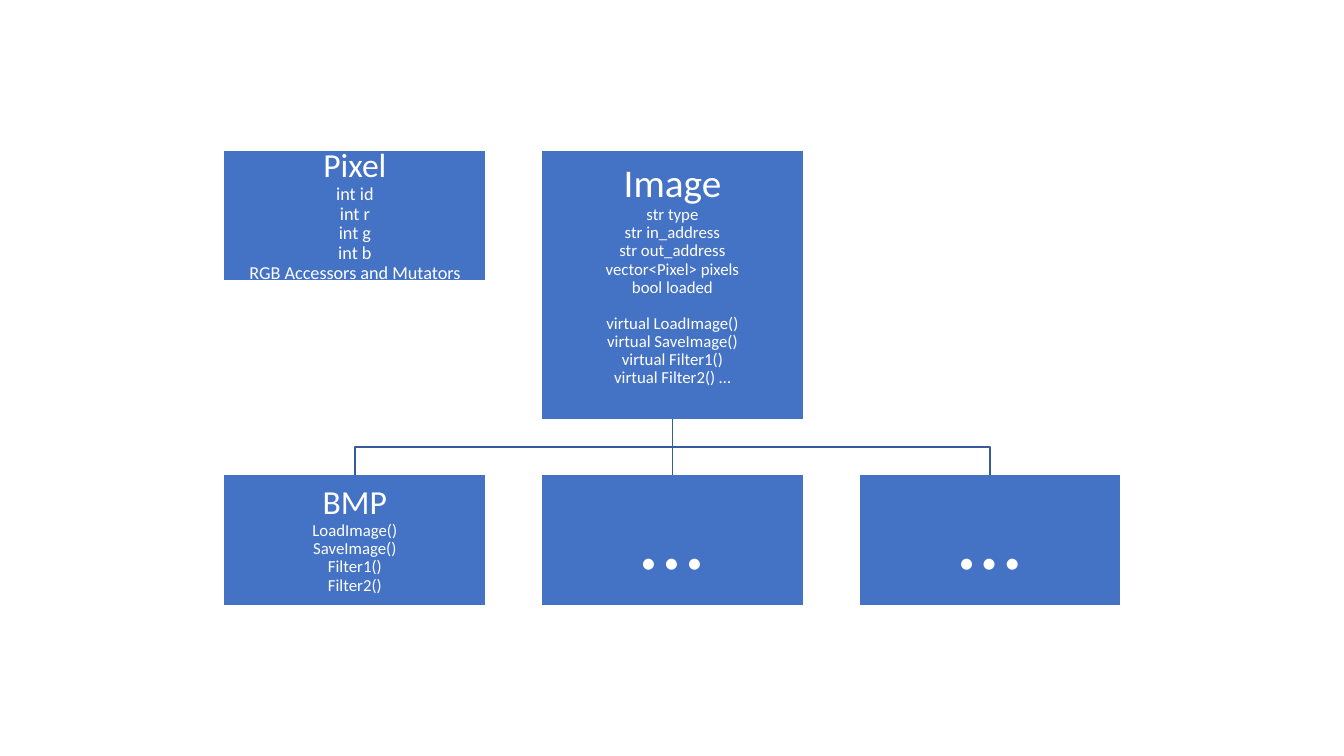
from lxml import etree
from pptx import Presentation
from pptx import util as u
from pptx.dml.color import RGBColor
from pptx.enum import shapes, text
from pptx.oxml.ns import qn

COLORS = {"box": "4472C4", "edge": "FFFFFF", "text": "FFFFFF", "branch": "365B9D"}
FONT = "Calibri"
COLUMNS = [2.22 + 3.15 * column for column in range(3)]
BOX_WIDTH, BOX_HEIGHT = 2.6, 1.3
TOP_ROW, BOTTOM_ROW = 1.49, 4.71
IMAGE_HEIGHT = 2.67

PIXEL_MEMBERS = ["int id", "int r", "int g", "int b", "RGB Accessors and Mutators"]
IMAGE_FIELDS = ["str type", "str in_address", "str out_address",
                "vector<Pixel> pixels", "bool loaded"]
IMAGE_METHODS = ["virtual LoadImage()", "virtual SaveImage()",
                 "virtual Filter1()", "virtual Filter2() …"]
BMP_METHODS = ["LoadImage()", "SaveImage()", "Filter1()", "Filter2()"]


def color(name):
    return RGBColor.from_string(COLORS[name])


def add_class_box(slide, left, top, height=BOX_HEIGHT, inset=0.02, bottom_inset=None):
    box = slide.shapes.add_shape(shapes.MSO_SHAPE.RECTANGLE, u.Inches(left),
                                 u.Inches(top), u.Inches(BOX_WIDTH), u.Inches(height))
    box.shadow.inherit = False
    box.fill.solid()
    box.fill.fore_color.rgb = color("box")
    box.line.color.rgb = color("edge")
    box.line.width = u.Pt(1)
    frame = box.text_frame
    frame.word_wrap = True
    frame.vertical_anchor = text.MSO_ANCHOR.MIDDLE
    frame.margin_left = frame.margin_right = frame.margin_top = u.Inches(inset)
    frame.margin_bottom = u.Inches(bottom_inset or inset)
    return box


def add_lines(box, lines, size, space_before=0):
    frame = box.text_frame
    for index, line in enumerate(lines):
        paragraph = frame.add_paragraph() if frame.text else frame.paragraphs[0]
        paragraph.text = line
        paragraph.alignment = text.PP_ALIGN.CENTER
        paragraph.line_spacing = 0.9
        paragraph.space_before = u.Pt(0 if index else space_before)
        paragraph.space_after = u.Pt(0)
        paragraph.font.size = u.Pt(size)
        paragraph.font.name = FONT
        paragraph.font.color.rgb = color("text")


def style_branch(branch):
    branch.line.color.rgb = color("branch")
    branch.line.width = u.Pt(1)


def add_elbow(slide, parent, child):
    start_x = parent.left + parent.width // 2
    start_y = parent.top + parent.height
    end_x = child.left + child.width // 2
    middle_y = (start_y + child.top) // 2
    builder = slide.shapes.build_freeform(start_x, start_y)
    builder.add_line_segments(
        [(start_x, middle_y), (end_x, middle_y), (end_x, child.top)], close=False)
    elbow = builder.convert_to_shape()
    elbow.shadow.inherit = False
    elbow.fill.background()
    style_branch(elbow)


def add_straight(slide, parent, child):
    branch = slide.shapes.add_connector(shapes.MSO_CONNECTOR.STRAIGHT, 0, 0, 0, 0)
    branch.begin_connect(parent, 2)
    branch.end_connect(child, 0)
    style_branch(branch)
    etree.SubElement(branch.element.spPr, qn("a:effectLst"))


def main():
    deck = Presentation()
    deck.slide_width, deck.slide_height = u.Inches(13.33), u.Inches(7.5)
    slide = deck.slides.add_slide(deck.slide_layouts[6])

    pixel = add_class_box(slide, COLUMNS[0], TOP_ROW)
    add_lines(pixel, ["Pixel"], 24)
    add_lines(pixel, PIXEL_MEMBERS, 13)

    image = add_class_box(slide, COLUMNS[1], TOP_ROW, IMAGE_HEIGHT, bottom_inset=0.2)
    add_lines(image, ["Image"], 28)
    add_lines(image, IMAGE_FIELDS, 12)
    add_lines(image, IMAGE_METHODS, 12, space_before=13)

    bmp = add_class_box(slide, COLUMNS[0], BOTTOM_ROW)
    add_lines(bmp, ["BMP"], 24)
    add_lines(bmp, BMP_METHODS, 12)

    second_format, third_format = (
        add_class_box(slide, left, BOTTOM_ROW, inset=0.05) for left in COLUMNS[1:])
    add_lines(second_format, ["..."], 65)
    add_lines(third_format, ["…"], 65)

    add_elbow(slide, image, bmp)
    add_straight(slide, image, second_format)
    add_elbow(slide, image, third_format)

    deck.save("out.pptx")


if __name__ == "__main__":
    main()
